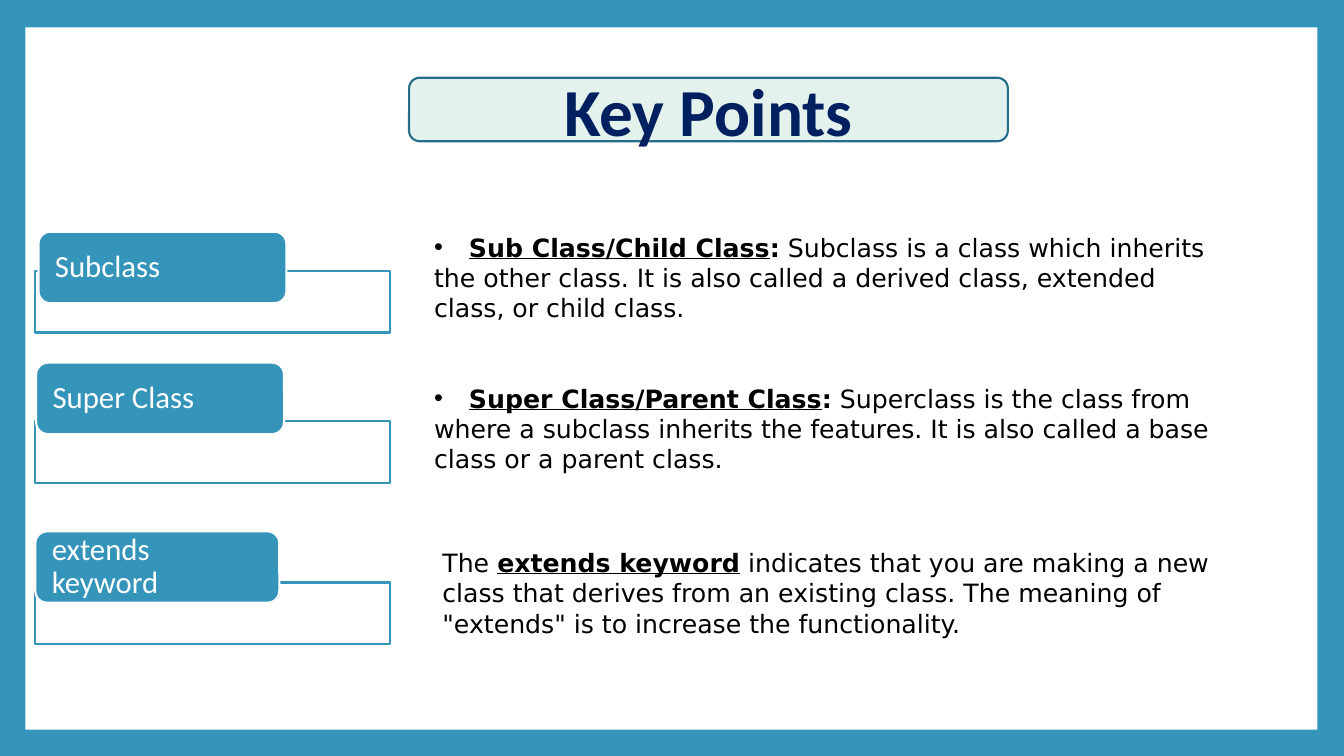
"""Build the Key Points slide on class inheritance terms."""
import pptx
import pptx.dml.color
import pptx.enum.shapes
import pptx.enum.text
import pptx.oxml.ns
import pptx.util
from lxml import etree
from pptx.util import Cm

BLUE, WHITE, BLACK, NAVY = "3494BA", "FFFFFF", "000000", "002060"
SHAPES = pptx.enum.shapes.MSO_SHAPE
MIDDLE = pptx.enum.text.MSO_ANCHOR.MIDDLE

FRAME_LEFT, FRAME_WIDTH, FRAME_HEIGHT = 0.89, 8.94, 1.55
LABEL_HEIGHT = 1.8
TERMS = [
    ("Subclass", 6.83, (0.97, 5.84, 6.25)),
    ("Super Class", 10.62, (0.91, 9.14, 6.25)),
    ("extends keyword", 14.68, (0.89, 13.39, 6.15)),
]
CLASS_DEFINITIONS = [
    [("\tSub Class/Child Class", True, True), (":", True, False),
     (" Subclass is a class which inherits the other class. It is also called a "
      "derived class, extended class, or child class.", False, False)],
    [("\tSuper Class/Parent Class", True, True), (":", True, False),
     (" Superclass is the class from where a subclass inherits the features. It is "
      "also called a base class or a parent class.", False, False)],
]
KEYWORD_DEFINITION = [
    [("The ", False, False), ("extends keyword", True, True),
     (" indicates that you are making a new class that derives from an existing class. "
      'The meaning of "extends" is to increase the functionality.', False, False)],
]


def color(hex_string):
    """Return the RGB colour of a hex string."""
    return pptx.dml.color.RGBColor.from_string(hex_string)


def format_run(run, font_name, size, hex_string, bold=False, underline=False):
    """Set the font of a run."""
    run.font.name = font_name
    run.font.size = pptx.util.Pt(size)
    run.font.color.rgb = color(hex_string)
    run.font.bold = bold
    run.font.underline = underline


def add_box(slide, kind, left, top, width, height, fill, line=None):
    """Add a filled shape, outlined when a line colour is given."""
    shape = slide.shapes.add_shape(kind, Cm(left), Cm(top), Cm(width), Cm(height))
    shape.shadow.inherit = False
    shape.fill.solid()
    shape.fill.fore_color.rgb = color(fill)
    if line:
        shape.line.color.rgb = color(line)
        shape.line.width = pptx.util.Pt(1.5)
    else:
        shape.line.fill.background()
    return shape


def add_title(slide, text, left, top, width, height):
    """Place the title over a rounded panel."""
    add_box(slide, SHAPES.ROUNDED_RECTANGLE, left, top, width, height, "E3F2ED", "266D8A")
    title = slide.shapes.title
    title.element.getparent().append(title.element)
    title.left, title.top, title.width, title.height = map(Cm, (left, top, width, height))
    frame = title.text_frame
    frame.text = text
    frame.vertical_anchor = MIDDLE
    frame.auto_size = pptx.enum.text.MSO_AUTO_SIZE.NONE
    frame.paragraphs[0].alignment = pptx.enum.text.PP_ALIGN.CENTER
    format_run(frame.paragraphs[0].runs[0], "Calibri", 48, NAVY, bold=True)


def add_term(slide, text, frame_top, label_place):
    """Add an empty frame with a rounded label over its top edge."""
    add_box(slide, SHAPES.RECTANGLE, FRAME_LEFT, frame_top, FRAME_WIDTH, FRAME_HEIGHT,
            WHITE, BLUE)
    label = add_box(slide, SHAPES.ROUNDED_RECTANGLE, *label_place, LABEL_HEIGHT, BLUE, WHITE)
    frame = label.text_frame
    frame.text = text
    frame.vertical_anchor = MIDDLE
    frame.margin_left = frame.margin_right = Cm(0.33)
    frame.margin_top = frame.margin_bottom = 0
    paragraph = frame.paragraphs[0]
    paragraph.alignment = pptx.enum.text.PP_ALIGN.LEFT
    paragraph.line_spacing = 0.9
    format_run(paragraph.runs[0], "Calibri", 22, WHITE)


def add_bullet(paragraph):
    """Give a paragraph a bullet and a tab stop for its first words."""
    qualify = pptx.oxml.ns.qn
    properties = paragraph._p.get_or_add_pPr()
    properties.set("marL", "0")
    properties.set("indent", "0")
    etree.SubElement(properties, qualify("a:buFont"), typeface="Arial")
    etree.SubElement(properties, qualify("a:buChar"), char="•")
    stops = etree.SubElement(properties, qualify("a:tabLst"))
    etree.SubElement(stops, qualify("a:tab"), pos=str(Cm(0.88)), algn="l")


def add_definitions(slide, definitions, left, top, width, height, bulleted=False):
    """Add a text box with one paragraph for each definition."""
    box = slide.shapes.add_textbox(Cm(left), Cm(top), Cm(width), Cm(height))
    frame = box.text_frame
    frame.word_wrap = True
    for index, pieces in enumerate(definitions):
        paragraph = frame.add_paragraph() if index else frame.paragraphs[0]
        paragraph.space_before = pptx.util.Pt(43 if index else 0)
        if bulleted:
            add_bullet(paragraph)
        for text, bold, underline in pieces:
            run = paragraph.add_run()
            run.text = text
            format_run(run, "DejaVu Sans", 18, BLACK, bold, underline)


def main():
    """Build and save the presentation."""
    presentation = pptx.Presentation()
    presentation.slide_width, presentation.slide_height = Cm(33.87), Cm(19.05)
    slide = presentation.slides.add_slide(presentation.slide_layouts.get_by_name("Title Only"))
    slide.background.fill.solid()
    slide.background.fill.fore_color.rgb = color(BLUE)
    add_box(slide, SHAPES.RECTANGLE, 0.64, 0.69, 32.56, 17.7, WHITE)
    add_definitions(slide, CLASS_DEFINITIONS, 10.69, 5.72, 20.57, 7.95, bulleted=True)
    add_definitions(slide, KEYWORD_DEFINITION, 10.9, 13.67, 20.37, 2.57)
    add_title(slide, "Key Points", 10.31, 1.96, 15.09, 1.6)
    for term in TERMS:
        add_term(slide, *term)
    presentation.save("out.pptx")


if __name__ == "__main__":
    main()
